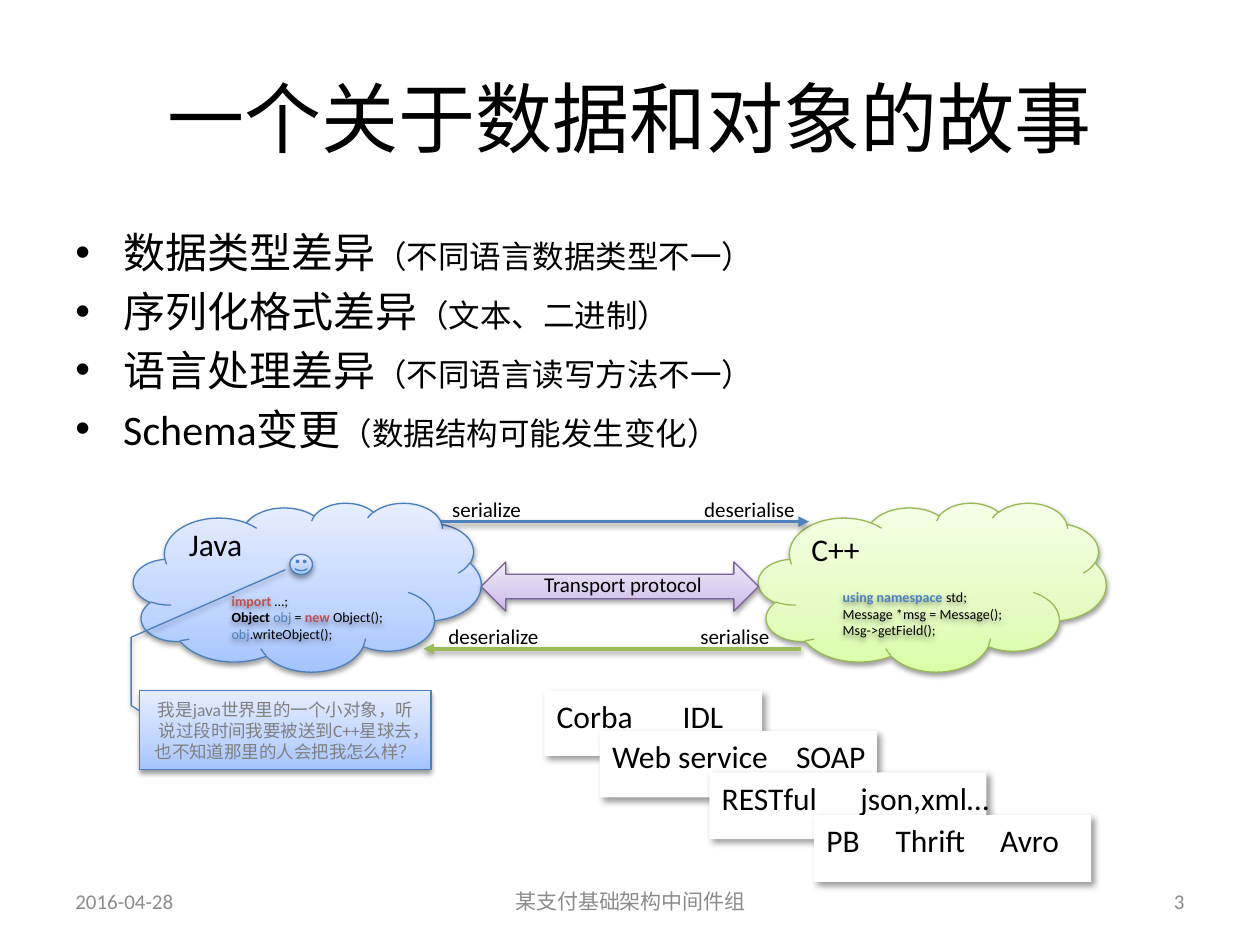
from lxml import etree
from pptx import Presentation
from pptx.dml.color import RGBColor
from pptx.enum.shapes import MSO_CONNECTOR, MSO_SHAPE as Preset
from pptx.enum.text import MSO_ANCHOR as Anchor, PP_ALIGN as Align
from pptx.oxml.ns import qn
from pptx.util import Emu, Inches, Pt

FONT = "Calibri"
BLACK = RGBColor(0x00, 0x00, 0x00)
WHITE = RGBColor(0xFF, 0xFF, 0xFF)
GRAY = RGBColor(0x80, 0x80, 0x80)
FOOTER_GRAY = RGBColor(0x8C, 0x8C, 0x8C)
RED = RGBColor(0xC0, 0x50, 0x4D)
BLUE = RGBColor(0x4F, 0x81, 0xBD)
GREEN = RGBColor(0x9B, 0xBB, 0x59)
BLUE_EDGE = RGBColor(0x4B, 0x7E, 0xBC)
GREEN_EDGE = RGBColor(0x98, 0xB9, 0x55)
PURPLE_EDGE = RGBColor(0x7D, 0x60, 0xA0)

# Gradient colours at 0, 35 and 100 percent, from bottom to top
STOPS = (0, 35, 100)
BLUE_FADE = [RGBColor(0xA4, 0xC4, 0xFF), RGBColor(0xBF, 0xD4, 0xFF), RGBColor(0xE6, 0xEE, 0xFF)]
GREEN_FADE = [RGBColor(0xDA, 0xFD, 0xA7), RGBColor(0xE4, 0xFC, 0xC2), RGBColor(0xF5, 0xFF, 0xE7)]
PURPLE_FADE = [RGBColor(0xC9, 0xB5, 0xE8), RGBColor(0xD8, 0xCB, 0xEE), RGBColor(0xF0, 0xEA, 0xF9)]

# Shadow: opacity in percent, blur and distance in points, angle in degrees
SOFT_SHADOW = (38, 3.1, 1.6, 90)
CARD_SHADOW = (40, 4, 3, 45)


def child(parent, tag, **attributes):
    return etree.SubElement(parent, qn(tag), {k: str(v) for k, v in attributes.items()})


def add_shadow(effects, shadow):
    opacity, blur, distance, angle = shadow
    outer = child(effects, "a:outerShdw", blurRad=Pt(blur), dist=Pt(distance),
                  dir=angle * 60000, rotWithShape=0)
    color = child(outer, "a:srgbClr", val=BLACK)
    child(color, "a:alpha", val=opacity * 1000)


def shade(shape, shadow):
    shape.shadow.inherit = False
    add_shadow(shape._element.spPr.find(qn("a:effectLst")), shadow)


def add_run(paragraph, text, size, color=BLACK, bold=False):
    run = paragraph.add_run()
    run.text = text
    run.font.name = FONT
    run.font.size = Pt(size)
    run.font.color.rgb = color
    run.font.bold = bold


def set_tabs(paragraph, stops):
    tabs = child(paragraph._p.get_or_add_pPr(), "a:tabLst")
    for stop in stops:
        child(tabs, "a:tab", pos=Inches(stop), algn="l")


def write(shape, text, size, color=BLACK, align=Align.LEFT, anchor=Anchor.TOP,
          wrap=True, tabs=()):
    frame = shape.text_frame
    frame.word_wrap = wrap
    frame.vertical_anchor = anchor
    paragraph = frame.paragraphs[0]
    paragraph.alignment = align
    if tabs:
        set_tabs(paragraph, tabs)
    add_run(paragraph, text, size, color)


def add_label(slide, box, text, size, **style):
    label = slide.shapes.add_textbox(*map(Inches, box))
    write(label, text, size, **style)


def add_gradient_shape(slide, preset, box, fade, edge):
    shape = slide.shapes.add_shape(preset, *map(Inches, box))
    shape.fill.gradient()
    shape.fill.gradient_angle = 90
    stop_list = shape._element.spPr.find(".//" + qn("a:gsLst"))
    for old in list(stop_list):
        stop_list.remove(old)
    for position, color in zip(STOPS, fade):
        child(child(stop_list, "a:gs", pos=position * 1000), "a:srgbClr", val=color)
    shape.line.color.rgb = edge
    shape.line.width = Pt(0.75)
    shade(shape, SOFT_SHADOW)
    return shape


def add_card(slide, box, text, tabs):
    card = slide.shapes.add_shape(Preset.RECTANGLE, *map(Inches, box))
    card.fill.solid()
    card.fill.fore_color.rgb = WHITE
    card.line.fill.background()
    shade(card, CARD_SHADOW)
    write(card, text, 18, wrap=False, tabs=tabs)


def add_code(slide, box, lines):
    code = slide.shapes.add_textbox(*map(Inches, box))
    shade(code, SOFT_SHADOW)
    frame = code.text_frame
    frame.word_wrap = False
    for number, runs in enumerate(lines):
        paragraph = frame.add_paragraph() if number else frame.paragraphs[0]
        for text, *style in runs:
            add_run(paragraph, text, 8, *style)


def add_arrow(slide, x_from, x_to, y, color):
    arrow = slide.shapes.add_connector(
        MSO_CONNECTOR.STRAIGHT, Inches(x_from), Inches(y), Inches(x_to), Inches(y))
    arrow.line.color.rgb = color
    arrow.line.width = Pt(2)
    child(arrow.line._get_or_add_ln(), "a:tailEnd", type="triangle")
    add_shadow(child(arrow._element.spPr, "a:effectLst"), SOFT_SHADOW)


def add_title(slide, text):
    title = slide.shapes.title
    title.left, title.top, title.width, title.height = map(Inches, (0.5, 0.3, 9, 1.25))
    write(title, text, 44, align=Align.CENTER, anchor=Anchor.MIDDLE)


def add_bullets(slide, box, items):
    frame = slide.shapes.add_textbox(*map(Inches, box)).text_frame
    frame.word_wrap = True
    for number, (topic, detail) in enumerate(items):
        paragraph = frame.add_paragraph() if number else frame.paragraphs[0]
        paragraph.space_before = Pt(4.8)
        props = paragraph._p.get_or_add_pPr()
        props.set("marL", str(Inches(0.38)))
        props.set("indent", str(Emu(-Inches(0.38))))
        child(props, "a:buFont", typeface="Arial")
        child(props, "a:buChar", char="•")
        add_run(paragraph, topic, 24)
        add_run(paragraph, detail, 18)


def main():
    prs = Presentation()
    prs.slide_width, prs.slide_height = Inches(10), Inches(7.5)
    slide = prs.slides.add_slide(prs.slide_layouts[5])

    # Title and bullets
    add_title(slide, "一个关于数据和对象的故事")
    add_bullets(slide, (0.5, 1.75, 9, 4.95), [
        ("数据类型差异", "（不同语言数据类型不一）"),
        ("序列化格式差异", "（文本、二进制）"),
        ("语言处理差异", "（不同语言读写方法不一）"),
        ("Schema变更", "（数据结构可能发生变化）"),
    ])

    # Footer
    for left, width, text, align in [
        (0.5, 2.33, "2016-04-28", Align.LEFT),
        (3.42, 3.17, "某支付基础架构中间件组", Align.CENTER),
        (7.17, 2.33, "3", Align.RIGHT),
    ]:
        add_label(slide, (left, 6.95, width, 0.4), text, 12, color=FOOTER_GRAY,
                  align=align, anchor=Anchor.MIDDLE)

    # Language clouds
    for left, fade, edge in [(1.06, BLUE_FADE, BLUE_EDGE), (6.02, GREEN_FADE, GREEN_EDGE)]:
        add_gradient_shape(slide, Preset.CLOUD, (left, 3.99, 2.76, 1.34), fade, edge)

    # Cascade of protocol cards
    add_card(slide, (4.32, 5.48, 1.73, 0.52), "Corba\tIDL", [1])
    add_card(slide, (4.76, 5.8, 2.2, 0.53), "Web service\tSOAP", [1.46])
    add_card(slide, (5.63, 6.13, 2.2, 0.53), "RESTful\tjson,xml…", [1.1])
    add_card(slide, (6.46, 6.47, 2.2, 0.53), "PB\tThrift\tAvro", [0.55, 1.38])

    # The small object and what it says
    add_gradient_shape(slide, Preset.SMILEY_FACE, (2.3, 4.4, 0.18, 0.16), BLUE_FADE, BLUE_EDGE)
    speech = add_gradient_shape(slide, Preset.LINE_CALLOUT_3, (1.11, 5.48, 2.31, 0.63),
                                BLUE_FADE, BLUE_EDGE)
    for index, value in enumerate((0.26, 0, 0.19, -0.03, -0.67, -0.03, -1.52, 0.5)):
        speech.adjustments[index] = value
    write(speech, "我是java世界里的一个小对象，听说过段时间我要被送到C++星球去，也不知道那里的人会把我怎么样？",
          10, color=GRAY, align=Align.CENTER, anchor=Anchor.MIDDLE)

    # Cloud names and code
    add_label(slide, (1.4, 4.12, 0.63, 0.4), "Java", 18, wrap=False)
    add_label(slide, (6.34, 4.16, 0.59, 0.4), "C++", 18, wrap=False)
    add_code(slide, (1.74, 4.65, 1.4, 0.5), [
        [("import ", RED, True), ("…;",)],
        [("Object ", BLACK, True), ("obj ", BLUE), ("= ",), ("new ", RED, True), ("Object();",)],
        [("obj", BLUE), (".writeObject();",)],
    ])
    add_code(slide, (6.59, 4.62, 1.5, 0.5), [
        [("using namespace ", BLUE, True), ("std;",)],
        [("Message *msg = Message();",)],
        [("Msg->getField();",)],
    ])

    # Transport between the clouds
    add_gradient_shape(slide, Preset.LEFT_RIGHT_ARROW, (3.82, 4.46, 2.2, 0.39),
                       PURPLE_FADE, PURPLE_EDGE)
    add_label(slide, (4.22, 4.49, 1.47, 0.3), "Transport protocol", 12, wrap=False)
    add_arrow(slide, 3.5, 6.42, 4.14, BLUE)
    add_label(slide, (3.49, 3.89, 3.01, 0.3), "serialize\tdeserialise", 12, tabs=[2])
    add_arrow(slide, 6.36, 3.36, 5.15, GREEN)
    add_label(slide, (3.46, 4.9, 2.89, 0.3), "deserialize\tserialise", 12, tabs=[2])

    prs.save("out.pptx")


if __name__ == "__main__":
    main()
